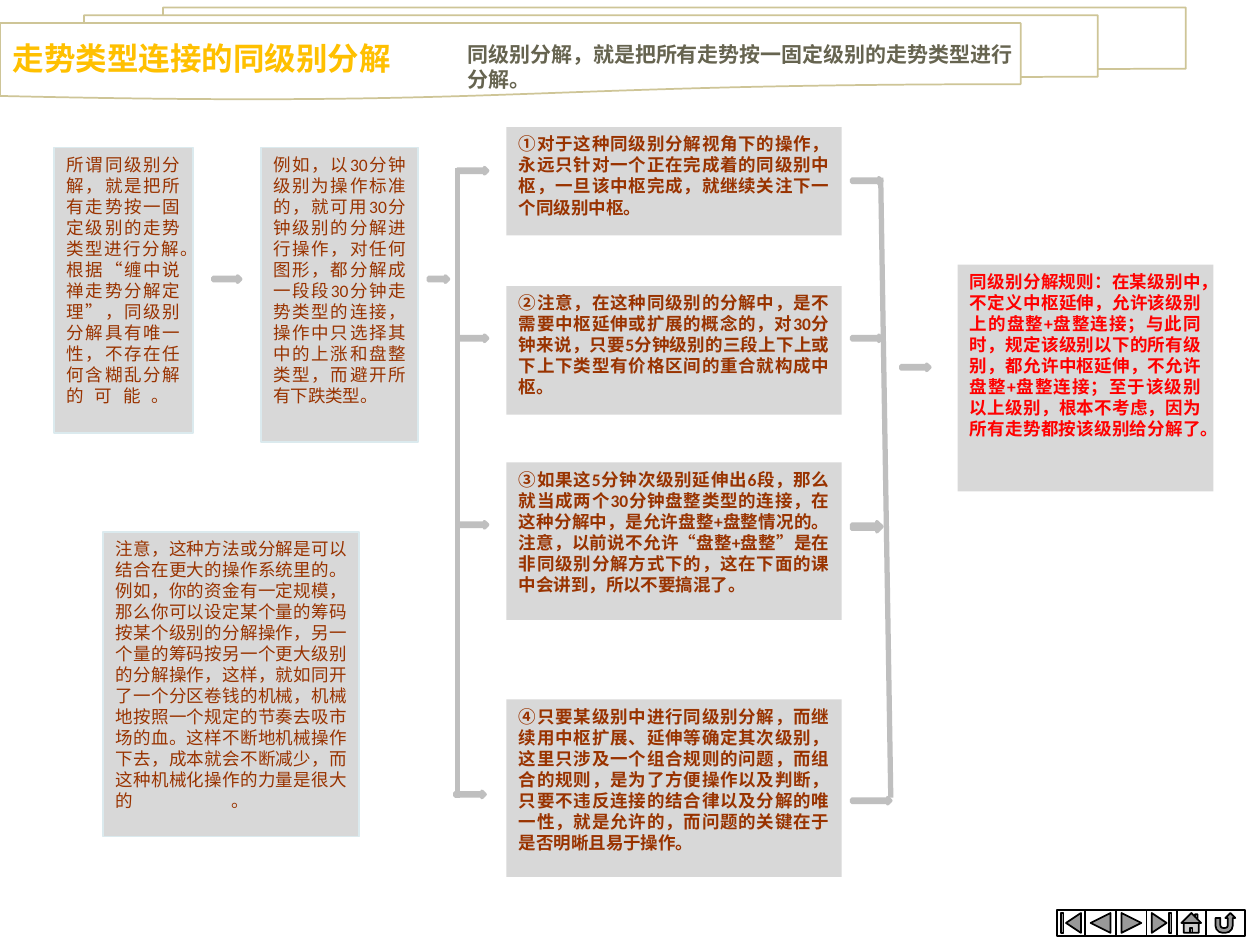
import pptx
import pptx.util
import pptx.dml.color
import pptx.enum.shapes
import pptx.enum.text
import pptx.oxml.ns
import lxml.etree

Inches, Pt = pptx.util.Inches, pptx.util.Pt
RGBColor = pptx.dml.color.RGBColor
MSO_SHAPE = pptx.enum.shapes.MSO_SHAPE
PP_ALIGN = pptx.enum.text.PP_ALIGN
MSO_ANCHOR = pptx.enum.text.MSO_ANCHOR
qn = pptx.oxml.ns.qn

WHITE = RGBColor(0xFF, 0xFF, 0xFF)
BLACK = RGBColor(0, 0, 0)
GOLD = RGBColor(0xFF, 0xC0, 0x00)
OLIVE = RGBColor(0x66, 0x64, 0x50)
BROWN = RGBColor(0x99, 0x33, 0x00)
RED = RGBColor(0xFF, 0, 0)
BANNER_EDGE = RGBColor(0xCE, 0xC5, 0x97)
BOX_FILL = RGBColor(0xD8, 0xD8, 0xD8)
BOX_EDGE = RGBColor(0xDB, 0xEA, 0xEE)
ARROW_FILL = RGBColor(0x71, 0xA3, 0x76)
ARROW_EDGE = RGBColor(0xBF, 0xBF, 0xBF)
CJK_FONT = "Noto Sans CJK SC"


def write(shape, text, size=10, color=BROWN, bold=False, font="Calibri",
          align=PP_ALIGN.JUSTIFY, anchor=MSO_ANCHOR.TOP):
    frame = shape.text_frame
    frame.word_wrap = True
    frame.auto_size = pptx.enum.text.MSO_AUTO_SIZE.NONE
    frame.vertical_anchor = anchor
    frame.text = text
    paragraph = frame.paragraphs[0]
    paragraph.alignment = align
    for run in paragraph.runs:
        run.font.name = font
        run.font.size = Pt(size)
        run.font.bold = bold
        run.font.color.rgb = color
        east_asian = lxml.etree.SubElement(run.font._element, qn("a:ea"))
        east_asian.set("typeface", CJK_FONT)


def add_figure(kind, left, top, width, height, fill, edge=None, weight=1):
    figure = slide.shapes.add_shape(kind, Inches(left), Inches(top), Inches(width), Inches(height))
    figure.shadow.inherit = False
    figure.fill.solid()
    figure.fill.fore_color.rgb = fill
    if edge is None:
        figure.line.fill.background()
    else:
        figure.line.color.rgb = edge
        figure.line.width = Pt(weight)
    return figure


deck = pptx.Presentation()
deck.slide_width, deck.slide_height = Inches(10), Inches(7.5)
slide = deck.slides.add_slide(deck.slide_layouts[5])

# Heading
title = slide.shapes.title
title.left, title.top, title.width, title.height = Inches(0), Inches(0.18), Inches(4.19), Inches(0.48)
write(title, "走势类型连接的同级别分解", size=18, color=GOLD, bold=True, font=CJK_FONT,
      align=PP_ALIGN.LEFT, anchor=MSO_ANCHOR.BOTTOM)
banner = add_figure(MSO_SHAPE.FLOWCHART_MULTIDOCUMENT, 0, 0.06, 9.41, 0.73, WHITE, BANNER_EDGE)
title.element.addprevious(banner.element)
definition = slide.shapes.add_textbox(Inches(3.61), Inches(0.28), Inches(4.69), Inches(0.29))
write(definition, "同级别分解，就是把所有走势按一固定级别的走势类型进行分解。",
      size=12, color=OLIVE, bold=True, align=PP_ALIGN.LEFT)

# Explanations on the left
explanations = [
    (0.43, 1.17, 1.1, 2.27,
     "所谓同级别分解，就是把所有走势按一固定级别的走势类型进行分解。根据“缠中说禅走势分解定理”，"
     "同级别分解具有唯一性，不存在任何含糊乱分解的可能。\v"),
    (2.07, 1.17, 1.25, 2.34,
     "例如，以30分钟级别为操作标准的，就可用30分钟级别的分解进行操作，对任何图形，都分解成一段段"
     "30分钟走势类型的连接，操作中只选择其中的上涨和盘整类型，而避开所有下跌类型。"),
    (0.82, 4.22, 2.03, 2.42,
     "注意，这种方法或分解是可以结合在更大的操作系统里的。例如，你的资金有一定规模，那么你可以设定"
     "某个量的筹码按某个级别的分解操作，另一个量的筹码按另一个更大级别的分解操作，这样，就如同开了"
     "一个分区卷钱的机械，机械地按照一个规定的节奏去吸市场的血。这样不断地机械操作下去，成本就会"
     "不断减少，而这种机械化操作的力量是很大的。\v"),
]
for left, top, width, height, text in explanations:
    write(add_figure(MSO_SHAPE.RECTANGLE, left, top, width, height, BOX_FILL, BOX_EDGE), text)

# Four points in the middle
points = [
    (1.01, 0.86,
     "①对于这种同级别分解视角下的操作，永远只针对一个正在完成着的同级别中枢，一旦该中枢完成，"
     "就继续关注下一个同级别中枢。"),
    (2.27, 1.02,
     "②注意，在这种同级别的分解中，是不需要中枢延伸或扩展的概念的，对30分钟来说，只要5分钟级别的"
     "三段上下上或下上下类型有价格区间的重合就构成中枢。"),
    (3.67, 1.25,
     "③如果这5分钟次级别延伸出6段，那么就当成两个30分钟盘整类型的连接，在这种分解中，是允许"
     "盘整+盘整情况的。注意，以前说不允许“盘整+盘整”是在非同级别分解方式下的，这在下面的课中会讲到，"
     "所以不要搞混了。"),
    (5.55, 1.41,
     "④只要某级别中进行同级别分解，而继续用中枢扩展、延伸等确定其次级别，这里只涉及一个组合规则的"
     "问题，而组合的规则，是为了方便操作以及判断，只要不违反连接的结合律以及分解的唯一性，就是允许的，"
     "而问题的关键在于是否明晰且易于操作。"),
]
for top, height, text in points:
    write(add_figure(MSO_SHAPE.RECTANGLE, 4.02, top, 2.66, height, BOX_FILL), text, bold=True)

# Conclusion on the right
rule = add_figure(MSO_SHAPE.RECTANGLE, 7.6, 2.1, 2.03, 1.8, BOX_FILL)
write(rule, "同级别分解规则：在某级别中，不定义中枢延伸，允许该级别上的盘整+盘整连接；与此同时，规定该级别"
      "以下的所有级别，都允许中枢延伸，不允许盘整+盘整连接；至于该级别以上级别，根本不考虑，因为所有"
      "走势都按该级别给分解了。\v", color=RED, bold=True)

# Brackets and arrows: left, top, width, height, fill
for start_x, start_y, end_x, end_y in [(3.63, 1.33, 3.63, 6.33), (6.99, 1.41, 7.07, 6.33)]:
    bracket = slide.shapes.add_connector(pptx.enum.shapes.MSO_CONNECTOR.STRAIGHT, Inches(start_x),
                                         Inches(start_y), Inches(end_x), Inches(end_y))
    bracket.line.color.rgb = ARROW_EDGE
    bracket.line.width = Pt(3)
    lxml.etree.SubElement(bracket.element.spPr, qn("a:effectLst"))

arrows = [
    (1.69, 2.19, 0.22, 0.05, ARROW_FILL),
    (3.4, 2.19, 0.16, 0.05, ARROW_FILL),
    (3.63, 1.33, 0.24, 0.05, ARROW_FILL),
    (3.63, 2.66, 0.24, 0.05, ARROW_FILL),
    (3.63, 4.14, 0.24, 0.05, ARROW_FILL),
    (3.61, 6.28, 0.24, 0.05, ARROW_FILL),
    (6.76, 1.41, 0.24, 0.05, ARROW_FILL),
    (6.76, 2.66, 0.24, 0.05, ARROW_FILL),
    (6.76, 4.14, 0.24, 0.08, ARROW_EDGE),
    (6.76, 6.33, 0.31, 0.05, ARROW_FILL),
    (7.15, 2.89, 0.23, 0.05, ARROW_FILL),
]
for left, top, width, height, fill in arrows:
    add_figure(MSO_SHAPE.RIGHT_ARROW, left, top, width, height, fill, ARROW_EDGE, weight=2)

# Navigation buttons, side by side
buttons = [
    (MSO_SHAPE.ACTION_BUTTON_BEGINNING, 0.22),
    (MSO_SHAPE.ACTION_BUTTON_BACK_OR_PREVIOUS, 0.25),
    (MSO_SHAPE.ACTION_BUTTON_FORWARD_OR_NEXT, 0.24),
    (MSO_SHAPE.ACTION_BUTTON_END, 0.24),
    (MSO_SHAPE.ACTION_BUTTON_HOME, 0.23),
    (MSO_SHAPE.ACTION_BUTTON_RETURN, 0.31),
]
button_left = 8.39
for kind, width in buttons:
    add_figure(kind, button_left, 7.22, width, 0.21, WHITE, BLACK)
    button_left += width

deck.save("out.pptx")
